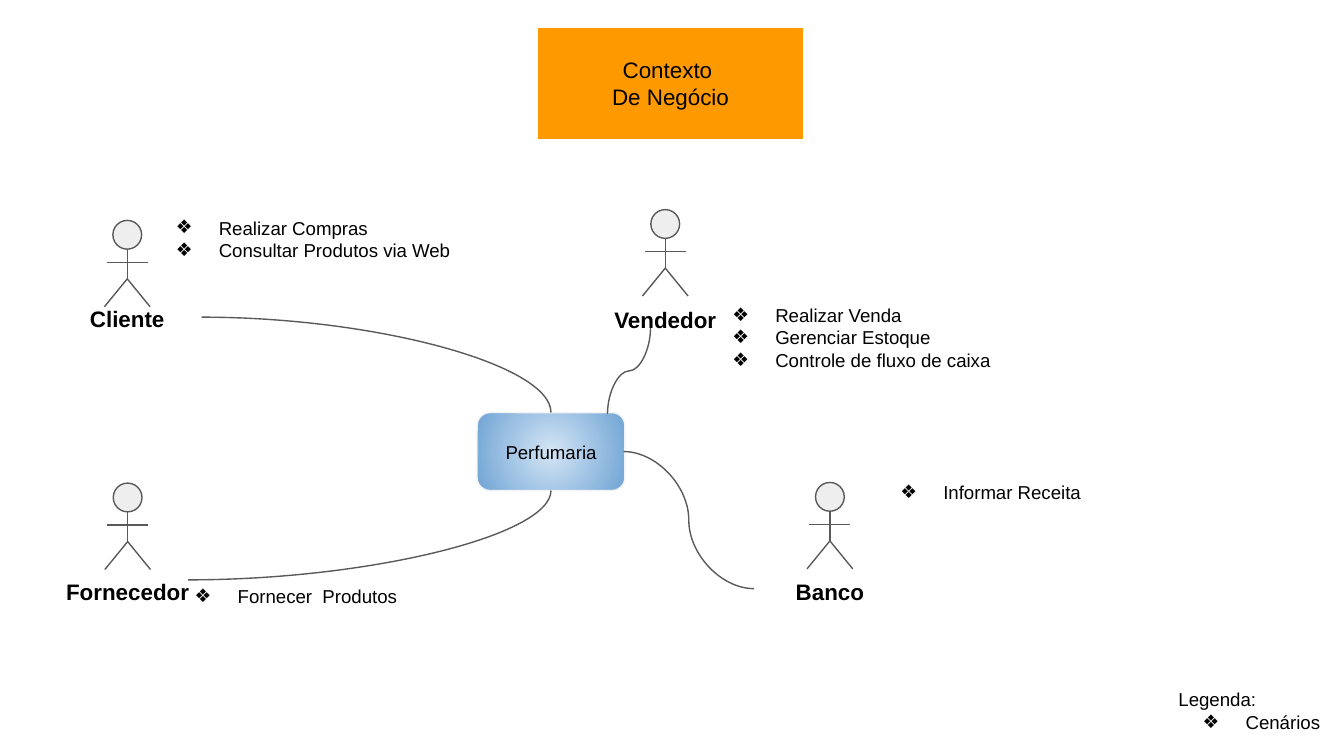
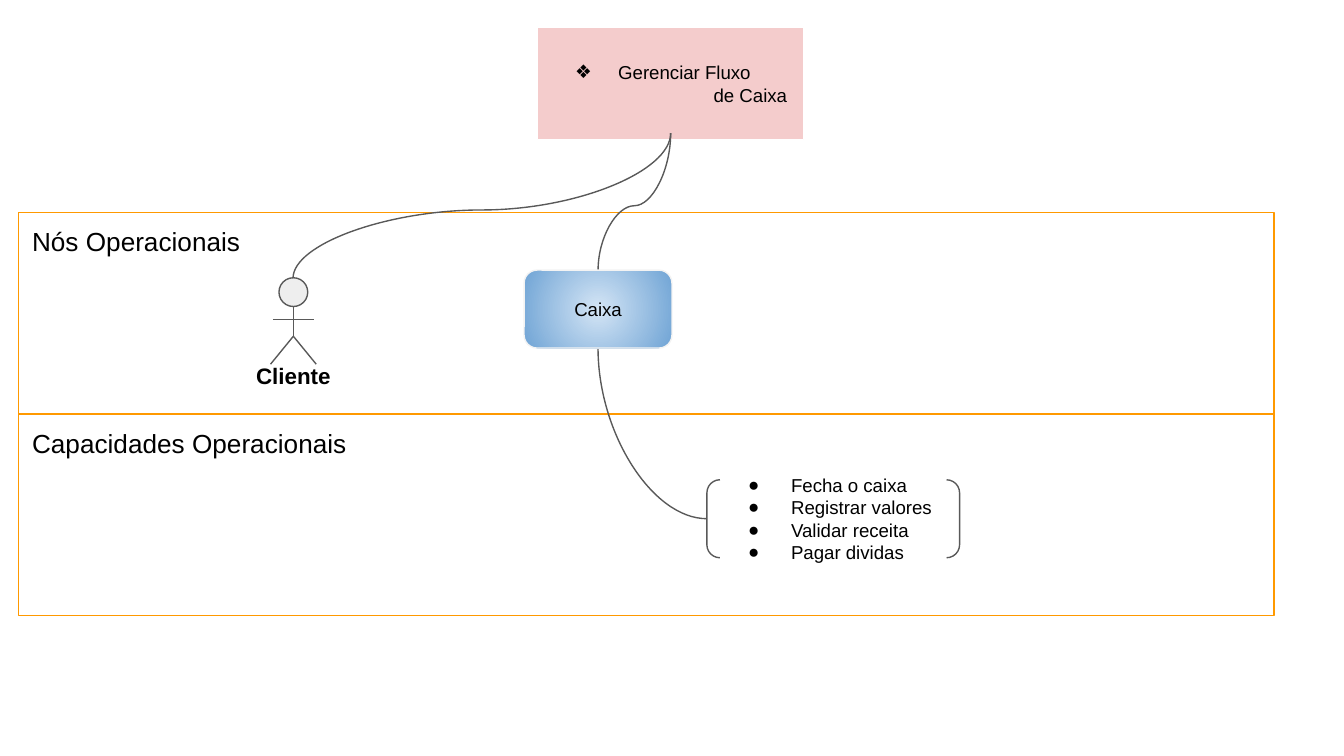
from lxml.etree import SubElement
from pptx import Presentation
from pptx.dml.color import RGBColor
from pptx.enum.shapes import MSO_CONNECTOR as CONN, MSO_SHAPE as SHAPE
from pptx.enum.text import MSO_ANCHOR as ANCHOR, MSO_AUTO_SIZE as FIT, PP_ALIGN as ALIGN
from pptx.oxml import parse_xml
from pptx.oxml.ns import nsdecls, qn
from pptx.util import Inches, Pt

BLACK = RGBColor(0x00, 0x00, 0x00)
WHITE = RGBColor(0xFF, 0xFF, 0xFF)
ORANGE = RGBColor(0xFF, 0x99, 0x00)
PINK = RGBColor(0xF4, 0xCC, 0xCC)
GRAY = RGBColor(0x59, 0x59, 0x59)
HEAD = RGBColor(0xEE, 0xEE, 0xEE)
NODE_EDGE = RGBColor(0xF3, 0xF3, 0xF3)
NODE_CENTER = RGBColor(0xD4, 0xE5, 0xF5)
NODE_RIM = RGBColor(0x70, 0xA4, 0xD5)

FONT = "Arial"
SMALL, MEDIUM, LARGE = 10, 12, 14
LINE = Pt(0.75)
DIAMOND, DOT = "❖", "●"
COLS, ROWS = 100, 56.25


class Board:
    def __init__(self):
        self.prs = Presentation()
        self.prs.slide_width = Inches(10)
        self.prs.slide_height = Inches(5.625)
        self.slide = None

    def x(self, cols):
        return round(self.prs.slide_width * cols / COLS)

    def y(self, rows):
        return round(self.prs.slide_height * rows / ROWS)

    def box(self, left, top, width, height):
        return self.x(left), self.y(top), self.x(width), self.y(height)

    def new_slide(self):
        self.slide = self.prs.slides.add_slide(self.prs.slide_layouts[5])

    def outline(self, sp, color):
        sp.line.color.rgb = color
        sp.line.width = LINE

    def put_text(self, sp, lines, size=SMALL, bold=False, align=ALIGN.LEFT,
                 anchor=ANCHOR.TOP, bullet=None):
        tf = sp.text_frame
        tf.word_wrap = True
        tf.auto_size = FIT.NONE
        tf.vertical_anchor = anchor
        tf.margin_left = tf.margin_right = self.x(1)
        tf.margin_top = tf.margin_bottom = self.y(1)
        for i, line in enumerate(lines):
            p = tf.paragraphs[0] if i == 0 else tf.add_paragraph()
            p.alignment = align
            if bullet:
                self.bullet(p, bullet)
            r = p.add_run()
            r.text = line
            r.font.name = FONT
            r.font.size = Pt(size)
            r.font.bold = bold
            r.font.color.rgb = BLACK
        return tf

    def indent(self, p, margin, first):
        pPr = p._p.get_or_add_pPr()
        pPr.set("marL", str(self.x(margin)))
        pPr.set("indent", str(self.x(first)))
        return pPr

    def bullet(self, p, char):
        pPr = self.indent(p, 5, -3.2)
        color = SubElement(pPr, qn("a:buClr"))
        SubElement(color, qn("a:srgbClr"), val=str(BLACK))
        SubElement(pPr, qn("a:buFont"), typeface=FONT)
        SubElement(pPr, qn("a:buChar"), char=char)

    def banner(self, color):
        sp = self.slide.shapes.title
        sp.left, sp.top, sp.width, sp.height = self.box(40, 2, 19.8, 8.4)
        sp._element.spPr.find(qn("a:xfrm")).addnext(parse_xml(
            f'<a:prstGeom {nsdecls("a")} prst="wave"><a:avLst>'
            '<a:gd name="adj1" fmla="val 7000"/><a:gd name="adj2" fmla="val 0"/>'
            '</a:avLst></a:prstGeom>'))
        sp.fill.solid()
        sp.fill.fore_color.rgb = color
        self.outline(sp, WHITE)
        return sp

    def shape(self, kind, box, line, fill=None, shapes=None):
        sp = (shapes or self.slide.shapes).add_shape(kind, *self.box(*box))
        sp.shadow.inherit = False
        if fill is None:
            sp.fill.background()
        else:
            sp.fill.solid()
            sp.fill.fore_color.rgb = fill
        self.outline(sp, line)
        return sp

    def node(self, left, top, name):
        sp = self.shape(SHAPE.ROUNDED_RECTANGLE, (left, top, 11, 5.8), NODE_EDGE)
        sp.fill.gradient()
        for stop, color in zip(sp.fill.gradient_stops, (NODE_CENTER, NODE_RIM)):
            stop.color.rgb = color
        grad = sp._element.spPr.find(qn("a:gradFill"))
        grad.replace(grad.find(qn("a:lin")), parse_xml(
            f'<a:path {nsdecls("a")} path="circle">'
            '<a:fillToRect l="50000" t="50000" r="50000" b="50000"/></a:path>'))
        self.put_text(sp, [name], align=ALIGN.CENTER, anchor=ANCHOR.MIDDLE)

    def text(self, box, lines, shapes=None, **style):
        sp = (shapes or self.slide.shapes).add_textbox(*self.box(*box))
        return self.put_text(sp, lines, **style)

    def scenarios(self, left, top, lines):
        self.text((left, top, 33.2, 10.1), lines, bullet=DIAMOND)

    def connector(self, kind, start, end, shapes=None):
        c = (shapes or self.slide.shapes).add_connector(
            kind, self.x(start[0]), self.y(start[1]), self.x(end[0]), self.y(end[1]))
        self.outline(c, GRAY)
        SubElement(c._element.spPr, qn("a:effectLst"))
        return c

    def arc(self, start, end):
        c = self.connector(CONN.CURVE, start, end)
        c._element.spPr.find(qn("a:prstGeom")).set("prst", "curvedConnector2")

    def descent(self, start, end, bend=0.5):
        (x1, y1), (x2, y2) = start, end
        mid_x, mid_y = (x1 + x2) / 2, (y1 + y2) / 2
        half_w, half_h = (y2 - y1) / 2, (x1 - x2) / 2
        c = self.connector(CONN.CURVE, (mid_x - half_w, mid_y - half_h),
                           (mid_x + half_w, mid_y + half_h))
        spPr = c._element.spPr
        spPr.find(qn("a:xfrm")).set("rot", str(90 * 60000))
        guides = spPr.find(qn("a:prstGeom")).find(qn("a:avLst"))
        SubElement(guides, qn("a:gd"), name="adj1", fmla=f"val {round(bend * 100000)}")

    def actor(self, center, top, name, label_drop=6.1):
        shapes = self.slide.shapes.add_group_shape().shapes
        self.shape(SHAPE.FLOWCHART_CONNECTOR, (center - 1.07, top, 2.14, 2.14),
                   GRAY, HEAD, shapes)
        hip = (center, top + 4.35)
        limbs = [((center, top + 2.14), hip),
                 ((center - 1.53, top + 3.12), (center + 1.53, top + 3.12)),
                 (hip, (center - 1.7, top + 6.43)),
                 (hip, (center + 1.7, top + 6.43))]
        for start, end in limbs:
            self.connector(CONN.STRAIGHT, start, end, shapes)
        self.text((center - 5.6, top + label_drop, 11.2, 3.8), [name], shapes,
                  size=MEDIUM, bold=True, align=ALIGN.CENTER)


def business_context(b):
    b.new_slide()
    b.put_text(b.banner(ORANGE), ["Contexto ", "De Negócio"], MEDIUM,
               align=ALIGN.CENTER, anchor=ANCHOR.MIDDLE)
    b.node(35.5, 30.7, "Perfumaria")
    b.actor(9.47, 16.4, "Cliente", 5.3)
    b.actor(9.5, 35.95, "Fornecedor")
    b.actor(49.5, 15.6, "Vendedor", 6.2)
    b.actor(61.75, 35.9, "Banco")
    b.arc((15, 23.6), (41, 30.7))
    b.arc((14, 43.15), (41, 36.5))
    b.descent((48.4, 24.4), (45.2, 30.8))
    b.connector(CONN.CURVE, (46.4, 33.6), (56.1, 43.8))
    b.scenarios(10.3, 15.1, ["Realizar Compras", "Consultar Produtos via Web"])
    b.scenarios(11.7, 42.5, ["Fornecer  Produtos"])
    b.scenarios(51.7, 21.6, ["Realizar Venda", "Gerenciar Estoque",
                             "Controle de fluxo de caixa"])
    b.scenarios(64.2, 34.8, ["Informar Receita"])
    tf = b.text((86.7, 50.2, 12.7, 5.2), ["Legenda:", "Cenários"])
    b.bullet(tf.paragraphs[1], DIAMOND)


def cash_flow(b):
    b.new_slide()
    tf = b.put_text(b.banner(PINK), ["Gerenciar Fluxo", "de Caixa"], anchor=ANCHOR.MIDDLE)
    b.bullet(tf.paragraphs[0], DIAMOND)
    b.indent(tf.paragraphs[1], 12.1, 0)
    for i, name in enumerate(["Nós Operacionais", "Capacidades Operacionais"]):
        band = b.shape(SHAPE.RECTANGLE, (1.4, 15.8 + 15 * i, 93.4, 15), ORANGE)
        b.put_text(band, [name], LARGE)
    b.actor(21.83, 20.67, "Cliente", 5.3)
    b.descent((49.9, 9.9), (44.5, 20.1), 0.53)
    b.descent((49.9, 9.9), (21.8, 20.7), 0.53)
    b.arc((52.6, 38.6), (44.5, 25.9))
    duties = b.shape(SHAPE.DOUBLE_BRACKET, (52.6, 35.7, 18.8, 5.8), GRAY)
    b.put_text(duties, ["Fecha o caixa", "Registrar valores", "Validar receita",
                        "Pagar dividas"], anchor=ANCHOR.MIDDLE, bullet=DOT)
    b.node(39, 20.1, "Caixa")


def main():
    b = Board()
    business_context(b)
    cash_flow(b)
    b.prs.save("out.pptx")


if __name__ == "__main__":
    main()
